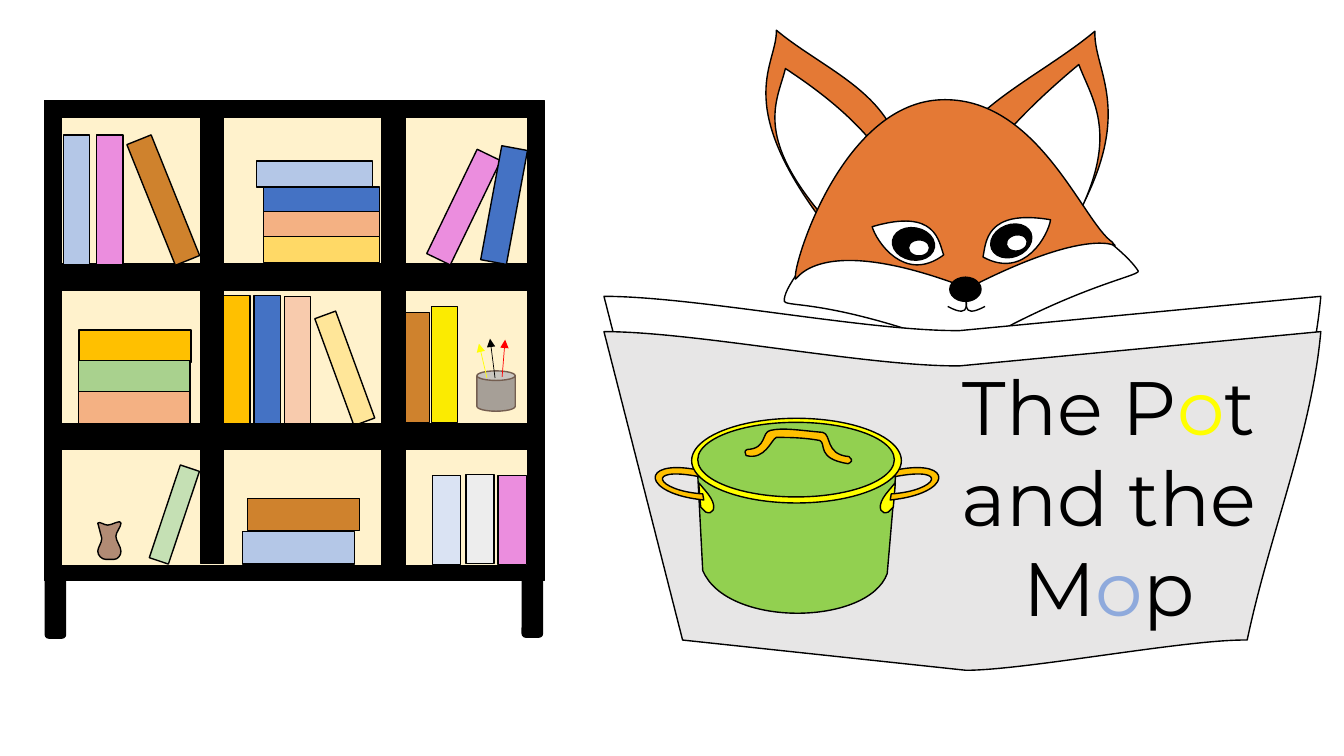
import pptx
import pptx.util
import pptx.dml.color
import pptx.enum.shapes
import pptx.enum.text
import pptx.oxml
import pptx.oxml.ns

MSO = pptx.enum.shapes.MSO_SHAPE
BLACK, WHITE, ORANGE, GREEN = "000000", "FFFFFF", "E47935", "92D050"
YELLOW, GOLD, BROWN, PINK = "FFFF00", "FFC000", "CF822D", "EB8DDE"
BLUE, PALE_BLUE, PEACH = "4472C4", "B4C7E7", "F4B183"

# Outlines: start point, then segments of 2 numbers (line) or 6 (Bezier curve), in inches
EARS = [
    (ORANGE, [(10.29, 2.74), (11.42, 1.22, 10.84, .77, 10.86, .31),
              (10.37, .72, 9.71, 1, 9.39, 1.53)]),
    (WHITE, [(10.27, 2.8), (11.25, 1.48, 10.85, 1.05, 10.7, .64),
             (10.28, .99, 9.88, 1.38, 9.6, 1.83)]),
    (ORANGE, [(8.13, 2.16), (7.27, .99, 7.71, .64, 7.7, .3),
              (8.07, .61, 8.58, .82, 8.82, 1.23)]),
    (WHITE, [(8.29, 2.29), (7.44, 1.37, 7.71, 1.01, 7.79, .68),
             (8.14, .91, 8.47, 1.17, 8.72, 1.5)]),
]
HEAD = [
    (WHITE, [(7.78, 2.99), (7.74, 2.77, 8.75, 1.68, 9.33, 1.63),
             (9.92, 1.58, 11.11, 2.39, 11.29, 2.69), (11.3, 2.74, 10.66, 2.84, 9.58, 3.47),
             (8.23, 2.96, 7.81, 3.05, 7.78, 2.99)]),
    (ORANGE, [(7.89, 2.73), (7.9, 2.52, 8.38, 1.03, 9.33, .99),
              (10.29, .95, 10.74, 2.2, 11.03, 2.4), (11.14, 2.56, 11.04, 2.12, 9.6, 2.86),
              (7.91, 2.21, 7.87, 2.94, 7.89, 2.73)]),
]
NOSE = (9.42, 2.75, .31, .24)
# Eye outline, pupil box and tilt, glint box and tilt
EYES = [
    ([(10.42, 2.18), (9.77, 2.07, 9.78, 2.41, 9.75, 2.55), (10.17, 2.78, 10.4, 2.32, 10.42, 2.18)],
     (9.82, 2.23, .42, .32), -21.8, (9.98, 2.33, .21, .16), -9.9),
    ([(8.65, 2.25), (9.29, 2.06, 9.31, 2.4, 9.36, 2.53), (8.97, 2.82, 8.69, 2.39, 8.65, 2.25)],
     (8.85, 2.26, .42, .32), 9.9, (9.01, 2.38, .21, .16), 0),
]
MOUTH, MOUTH_AXIS = [(9.6, 2.9), (9.6, 2.97, 9.51, 3.18, 9.77, 3.04)], 9.585

NEWSPAPER = [(5.99, 2.94), (6.9, 2.94, 8.62, 3.29, 9.52, 3.28), (13.1, 2.94),
             (13.01, 3.95, 12.59, 4.95, 12.37, 6), (11.78, 5.99, 10.17, 6.3, 9.58, 6.3), (6.77, 6)]
PAGES = [(0, WHITE), (.35, "E7E6E6")]
TITLE = [("The P", BLACK), ("o", YELLOW), ("t and the M", BLACK), ("o", "8FAADC"), ("p", BLACK)]

POT = [(6.91, 4.51), (8.9, 4.52), (8.8, 5.69), (8.61, 6.21, 7.21, 6.23, 6.97, 5.66)]
POT_AXIS = 7.905
POT_SIDES = [
    (YELLOW, [(8.88, 4.79), (8.86, 5.03), (8.81, 5.08), (8.74, 5.11, 8.7, 5.04, 8.76, 4.94),
              (8.79, 4.89, 8.83, 4.85, 8.87, 4.8)]),
    (GOLD, [(8.87, 4.73), (8.88, 4.69, 8.89, 4.7, 8.9, 4.66), (9.47, 4.55, 9.45, 4.9, 8.83, 4.96),
            (8.83, 4.93, 8.84, 4.93, 8.84, 4.9), (9.3, 4.87, 9.43, 4.62, 8.87, 4.73)]),
]
LIDS = [((6.86, 4.15, 2.08, .84), YELLOW), ((6.92, 4.19, 1.95, .74), GREEN)]
LID_HANDLE = [(7.41, 4.46), (7.61, 4.45, 7.55, 4.29, 7.64, 4.27), (7.77, 4.24, 7.93, 4.27, 8.16, 4.29),
              (8.25, 4.31, 8.18, 4.51, 8.42, 4.53), (8.47, 4.57, 8.44, 4.59, 8.41, 4.6),
              (8.09, 4.55, 8.2, 4.4, 8.13, 4.37), (7.96, 4.34, 7.82, 4.34, 7.7, 4.34),
              (7.65, 4.36, 7.59, 4.57, 7.4, 4.52), (7.39, 4.5, 7.38, 4.47, 7.41, 4.46)]

VASE = [(.97, 5.19), (.99, 5.17, 1.03, 5.21, 1.07, 5.21), (1.11, 5.21, 1.2, 5.15, 1.2, 5.19),
        (1.2, 5.23, 1.15, 5.28, 1.15, 5.32), (1.15, 5.37, 1.2, 5.42, 1.2, 5.47),
        (1.2, 5.51, 1.17, 5.55, 1.13, 5.55), (1.05, 5.55), (1.01, 5.55, .97, 5.51, .97, 5.47),
        (.97, 5.43, 1.01, 5.39, 1.01, 5.34)]
PENCILS = [(4.91, 3.75, 4.86, 3.36, BLACK), (4.98, 3.74, 5.01, 3.37, "FF0000"),
           (4.83, 3.75, 4.75, 3.41, YELLOW)]

LEGS = [(.45, 5.65, .2, .68), (5.18, 5.64, .2, .68)]
CASE = [((.44, 1, 4.96, 4.76), BLACK), ((.61, 1.16, 4.62, 4.45), "FFF2CC"),
        ((3.79, 1.09, .23, 4.64), BLACK), ((1.99, 1.12, .23, 4.47), BLACK),
        ((.55, 2.62, 4.74, .26), BLACK)]
LOWER_SHELF = (.56, 4.2, 4.69, .26)
BAY_LEFTS, BAY_FLOORS = (.63, 2.22, 4.02), (2.63, 4.22, 5.59)
# (row, column): books as offset from bay left, lift above floor, thickness, length, tilt, colour
BOOKS = {
    (0, 0): [(0, 0, .26, 1.29, 0, PALE_BLUE), (.33, 0, .26, 1.29, 0, PINK),
             (.86, 0, .26, 1.29, -21.9, BROWN)],
    (0, 1): [(.84, .07, .26, 1.15, -90, BLUE), (.77, .33, .26, 1.15, -90, PALE_BLUE),
             (.84, -.17, .26, 1.15, -90, PEACH), (.84, -.42, .26, 1.15, -90, "FFD966")],
    (0, 2): [(.45, 0, .26, 1.15, 25.8, PINK), (.85, .02, .26, 1.15, 10.5, BLUE)],
    (1, 0): [(.55, .23, .32, 1.11, 90, GOLD), (.54, -.07, .32, 1.11, 90, "A9D18E"),
             (.54, -.38, .32, 1.11, 90, PEACH)],
    (1, 1): [(.6, -.01, .26, 1.29, 0, "F8CBAD"), (.3, 0, .26, 1.29, 0, BLUE),
             (0, 0, .26, 1.29, 0, GOLD), (1.09, 0, .22, 1.13, -20.1, "FFE699")],
    (1, 2): [(.26, .03, .26, 1.15, 0, "FBEB01"), (0, .03, .24, 1.09, 0, BROWN)],
    (2, 0): [(1, 0, .2, .97, 18.5, "C5E0B4")],
    (2, 1): [(.63, -.07, .32, 1.11, 90, BROWN), (.58, -.4, .32, 1.11, 90, PALE_BLUE)],
    (2, 2): [(.27, -.01, .28, .88, 0, "DAE3F3"), (.6, 0, .28, .88, 0, "EDEDED"),
             (.92, -.01, .28, .88, 0, PINK)],
}

prs = pptx.Presentation()
prs.slide_width, prs.slide_height = pptx.util.Inches(13.33), pptx.util.Inches(7.5)
shapes = prs.slides.add_slide(prs.slide_layouts[6]).shapes
qn = pptx.oxml.ns.qn


def rgb(color):
    return pptx.dml.color.RGBColor.from_string(color)


def inches(values):
    return [pptx.util.Inches(v) for v in values]


def paint(sp, fill, line=BLACK):
    sp.shadow.inherit = False
    if fill:
        sp.fill.solid()
        sp.fill.fore_color.rgb = rgb(fill)
    else:
        sp.fill.background()
    sp.line.color.rgb = rgb(line)
    sp.line.width = pptx.util.Pt(1)
    return sp


def preset(kind, box, fill, line=BLACK, tilt=0):
    sp = paint(shapes.add_shape(kind, *inches(box)), fill, line)
    sp.rotation = tilt
    return sp


def outline(segments, fill=None):
    """Draw a freeform with Bezier curves; without a fill it stays open."""
    points = [seg[i:i + 2] for seg in segments[1:] for i in range(0, len(seg), 2)]
    builder = shapes.build_freeform(*inches(segments[0]), scale=1.0)
    builder.add_line_segments([inches(pt) for pt in points], close=bool(fill))
    sp = builder.convert_to_shape()
    steps = iter(list(sp._element.iter(qn("a:lnTo"))))
    for seg in segments[1:]:
        lines = [next(steps) for _ in range(len(seg) // 2)]
        if len(lines) == 3:  # two control points and an end point
            curve = lines[0].makeelement(qn("a:cubicBezTo"), {})
            lines[0].addprevious(curve)
            for line in lines:
                curve.append(line[0])
                line.getparent().remove(line)
    return paint(sp, fill)


def mirror(segments, axis):
    return [tuple(2 * axis - v if i % 2 == 0 else v for i, v in enumerate(seg)) for seg in segments]


def shift_down(segments, dy):
    return [tuple(v + dy if i % 2 else v for i, v in enumerate(seg)) for seg in segments]


def arrow(x1, y1, x2, y2, color):
    c = shapes.add_connector(pptx.enum.shapes.MSO_CONNECTOR.STRAIGHT, *inches((x1, y1, x2, y2)))
    c.line.color.rgb = rgb(color)
    c.line.width = pptx.util.Pt(.5)
    ln = c._element.spPr.find(qn("a:ln"))
    ln.append(ln.makeelement(qn("a:tailEnd"), {"type": "triangle"}))
    c._element.spPr.append(ln.makeelement(qn("a:effectLst"), {}))
    return c


def text(box, runs, size, font):
    tf = shapes.add_textbox(*inches(box)).text_frame
    tf.word_wrap = True
    tf.auto_size = pptx.enum.text.MSO_AUTO_SIZE.SHAPE_TO_FIT_TEXT
    p = tf.paragraphs[0]
    p.alignment = pptx.enum.text.PP_ALIGN.CENTER
    for content, color in runs:
        r = p.add_run()
        r.text = content
        r.font.size, r.font.name = pptx.util.Pt(size), font
        r.font.color.rgb = rgb(color)


fox = [outline(segments, fill) for fill, segments in EARS + HEAD]
fox.append(preset(MSO.OVAL, NOSE, BLACK))
for eye, pupil, pupil_tilt, glint, glint_tilt in EYES:
    fox += [outline(eye, WHITE), preset(MSO.OVAL, pupil, BLACK, tilt=pupil_tilt),
            preset(MSO.OVAL, glint, WHITE, tilt=glint_tilt)]
fox += [outline(MOUTH), outline(mirror(MOUTH, MOUTH_AXIS))]
shapes.add_group_shape(fox)

shapes.add_group_shape([outline(shift_down(NEWSPAPER, dy), fill) for dy, fill in PAGES])

for leg in LEGS:
    preset(MSO.ROUNDED_RECTANGLE, leg, BLACK)
for box, fill in CASE:
    preset(MSO.RECTANGLE, box, fill)
for (row, col), books in BOOKS.items():
    for dx, lift, thickness, length, tilt, color in books:
        top = BAY_FLOORS[row] - lift - length
        preset(MSO.RECTANGLE, (BAY_LEFTS[col] + dx, top, thickness, length), color, tilt=tilt)
preset(MSO.RECTANGLE, LOWER_SHELF, BLACK)
pencil_cup = [preset(MSO.CAN, (4.73, 3.68, .38, .4), "A69F97", "745E50")]
shapes.add_group_shape(pencil_cup + [arrow(*pencil) for pencil in PENCILS])
outline(VASE, "B18B74")

pot = [outline(POT, GREEN)]
for fill, segments in POT_SIDES:
    pot += [outline(segments, fill), outline(mirror(segments, POT_AXIS), fill)]
pot += [preset(MSO.OVAL, box, fill) for box, fill in LIDS]
pot.append(outline(LID_HANDLE, GOLD))
shapes.add_group_shape(pot)

text((8.73, 3.52, 4.54, 2.83), TITLE, size=54, font="Montserrat")

prs.save("out.pptx")
